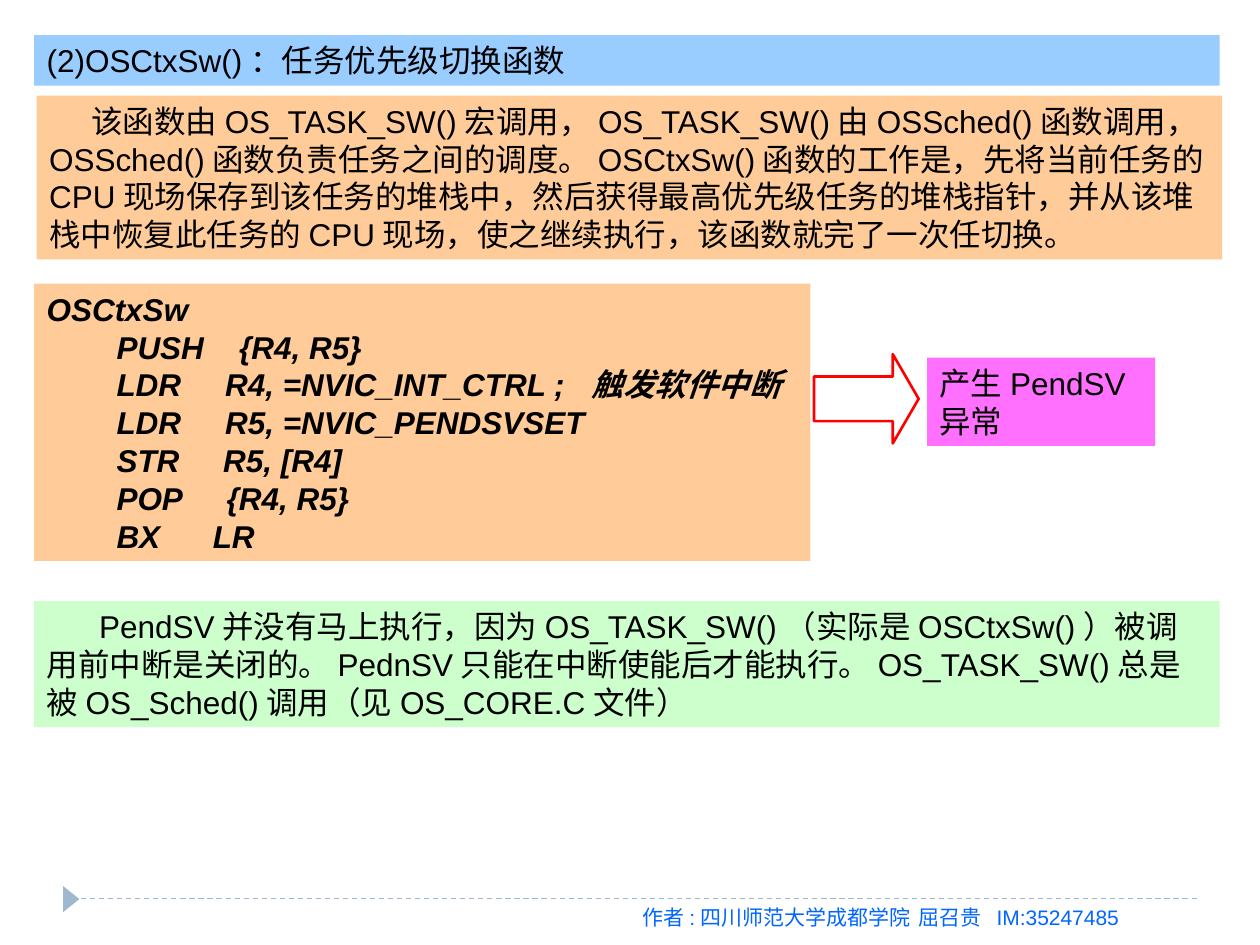
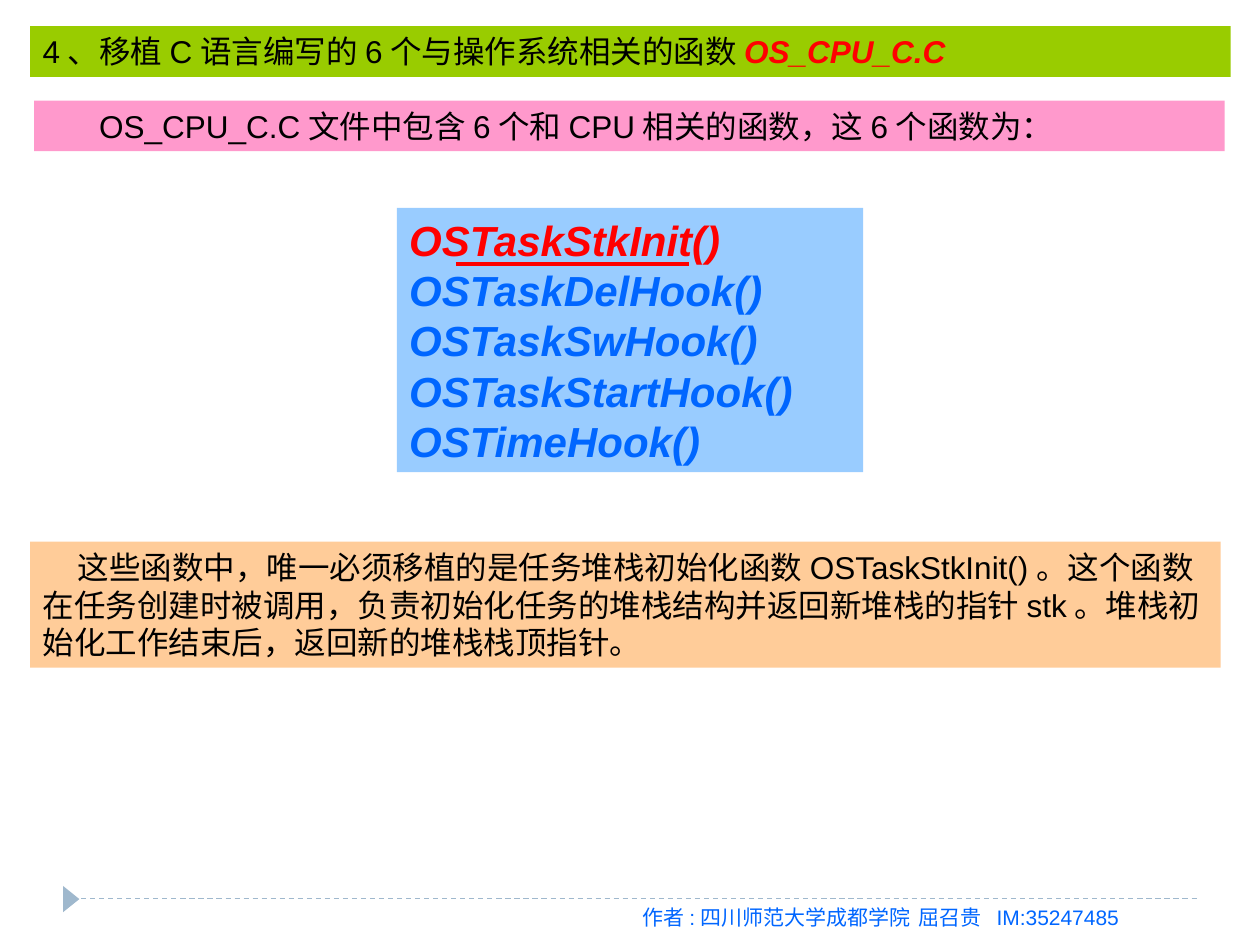
import pptx
import pptx.dml.color
import pptx.enum.dml
import pptx.enum.shapes
import pptx.oxml.ns
import pptx.util
from lxml import etree

Cm = pptx.util.Cm
Pt = pptx.util.Pt
RGB = pptx.dml.color.RGBColor.from_string
SHAPE = pptx.enum.shapes.MSO_SHAPE
STRAIGHT = pptx.enum.shapes.MSO_CONNECTOR.STRAIGHT
qn = pptx.oxml.ns.qn

COLORS = {
    "text": "000000",
    "blue": "0066FF",
    "red": "FF0000",
    "footer": "9FB8CD",
    "sky": "99CCFF",
    "peach": "FFCC99",
    "mint": "CCFFCC",
    "magenta": "FF00FF",
    "lime": "99CC00",
    "pink": "FF99CC",
}


def set_tabs(para, stops):
    tab_list = etree.Element(qn("a:tabLst"))
    for stop in stops:
        etree.SubElement(tab_list, qn("a:tab"), pos=str(Cm(stop)), algn="l")
    para._p.get_or_add_pPr().insert(0, tab_list)


def add_panel(page, left, top, width, height, fill, lines,
              indent=0, size=18, color="text", strong=False):
    box = page.shapes.add_textbox(Cm(left), Cm(top), Cm(width), Cm(height))
    if fill:
        box.fill.solid()
        box.fill.fore_color.rgb = RGB(COLORS[fill])
    frame = box.text_frame
    frame.word_wrap = True
    for index, line in enumerate(lines):
        para = frame.paragraphs[0] if index == 0 else frame.add_paragraph()
        para.add_run().text = line
        para.font.name = "Arial"
        para.font.size = Pt(size)
        para.font.bold = para.font.italic = strong
        para.font.color.rgb = RGB(COLORS[color])
        if indent:
            para._p.get_or_add_pPr().set("indent", str(Cm(indent)))
    return box


deck = pptx.Presentation()
deck.slide_width = Cm(25.4)
deck.slide_height = Cm(19.05)
switch_page, port_page = [deck.slides.add_slide(deck.slide_layouts[6]) for _ in range(2)]

rules = []
for page in (switch_page, port_page):
    rule = page.shapes.add_connector(STRAIGHT, Cm(1.27), Cm(18.11), Cm(24.13), Cm(18.11))
    rule.line.color.rgb = RGB(COLORS["footer"])
    rule.line.width = Pt(0.75)
    rule.line.dash_style = pptx.enum.dml.MSO_LINE.DASH
    rules.append(rule)

    marker = page.shapes.add_shape(
        SHAPE.ISOSCELES_TRIANGLE, Cm(1.17), Cm(17.96), Cm(0.53), Cm(0.33))
    marker.rotation = 90
    marker.shadow.inherit = False
    marker.fill.solid()
    marker.fill.fore_color.rgb = RGB(COLORS["footer"])
    marker.line.fill.background()

    author = add_panel(page, 12.7, 18.11, 12.07, 0.76, None,
                       ["作者:四川师范大学成都学院\t屈召贵\tIM:35247485"], size=12, color="blue")
    set_tabs(author.text_frame.paragraphs[0], [5.57, 7.14])

add_panel(switch_page, 0.69, 0.71, 23.9, 1.02, "sky", ["(2)OSCtxSw()：任务优先级切换函数"])
add_panel(switch_page, 0.74, 1.93, 23.9, 3.3, "peach", [
    "该函数由OS_TASK_SW()宏调用，OS_TASK_SW()由OSSched()函数调用，"
    "OSSched()函数负责任务之间的调度。OSCtxSw()函数的工作是，先将当前任务的"
    "CPU现场保存到该任务的堆栈中，然后获得最高优先级任务的堆栈指针，并从该堆"
    "栈中恢复此任务的CPU现场，使之继续执行，该函数就完了一次任切换。"], indent=0.85)

instructions = [
    ("PUSH\t{R4, R5}", 3.88),
    ("LDR\tR4, =NVIC_INT_CTRL ;\t触发软件中断", 3.6),
    ("LDR\tR5, =NVIC_PENDSVSET", 3.6),
    ("STR\tR5, [R4]", 3.56),
    ("POP\t{R4, R5}", 3.63),
    ("BX\tLR", 3.35),
]
code = add_panel(switch_page, 0.69, 5.72, 15.65, 5.59, "peach",
                 ["OSCtxSw"] + ["\t" + line for line, _ in instructions], strong=True)
for para, (_, operand) in zip(code.text_frame.paragraphs[1:], instructions):
    set_tabs(para, [1.41, operand, 10.99])

arrow = switch_page.shapes.add_shape(
    SHAPE.RIGHT_ARROW, Cm(16.41), Cm(7.14), Cm(2.11), Cm(1.8))
arrow.adjustments[0] = 0.5
arrow.adjustments[1] = 0.29
arrow.shadow.inherit = False
arrow.fill.background()
arrow.line.color.rgb = RGB(COLORS["red"])
arrow.line.width = Pt(1.5)

exception = add_panel(switch_page, 18.69, 7.21, 4.6, 1.78, "magenta", ["产生PendSV异常"])
fill_color = exception._element.spPr.find(qn("a:solidFill"))[0]
etree.SubElement(fill_color, qn("a:alpha"), val="56000")

add_panel(switch_page, 0.69, 12.12, 23.9, 2.54, "mint", [
    "PendSV并没有马上执行，因为OS_TASK_SW()（实际是OSCtxSw()）被调"
    "用前中断是关闭的。PednSV只能在中断使能后才能执行。OS_TASK_SW()总是"
    "被OS_Sched()调用（见OS_CORE.C文件）"], indent=1.06)

heading = add_panel(port_page, 0.61, 0.53, 24.2, 1.02, "lime",
                    ["4、移植C语言编写的6个与操作系统相关的函数"])
span = heading.text_frame.paragraphs[0].add_run()
span.text = "OS_CPU_C.C"
span.font.bold = span.font.italic = True
span.font.color.rgb = RGB(COLORS["red"])

add_panel(port_page, 0.69, 2.03, 24, 1.02, "pink",
          ["OS_CPU_C.C文件中包含6个和CPU相关的函数，这6个函数为："], indent=1.06)
add_panel(port_page, 0.61, 10.92, 24, 2.54, "peach", [
    "这些函数中，唯一必须移植的是任务堆栈初始化函数OSTaskStkInit()。这个函数"
    "在任务创建时被调用，负责初始化任务的堆栈结构并返回新堆栈的指针stk。堆栈初"
    "始化工作结束后，返回新的堆栈栈顶指针。"], indent=0.71)

functions = add_panel(port_page, 8, 4.19, 9.4, 5.33, "sky", [
    "OSTaskStkInit()", "OSTaskDelHook()", "OSTaskSwHook()",
    "OSTaskStartHook()", "OSTimeHook()"], size=24, color="blue", strong=True)
functions.text_frame.paragraphs[0].font.color.rgb = RGB(COLORS["red"])

underline = port_page.shapes.add_connector(STRAIGHT, Cm(9.19), Cm(5.33), Cm(13.89), Cm(5.33))
underline.line.color.rgb = RGB(COLORS["red"])
underline.line.width = Pt(2.25)

for line in rules + [underline]:
    etree.SubElement(line._element.spPr, qn("a:effectLst"))

deck.save("out.pptx")
